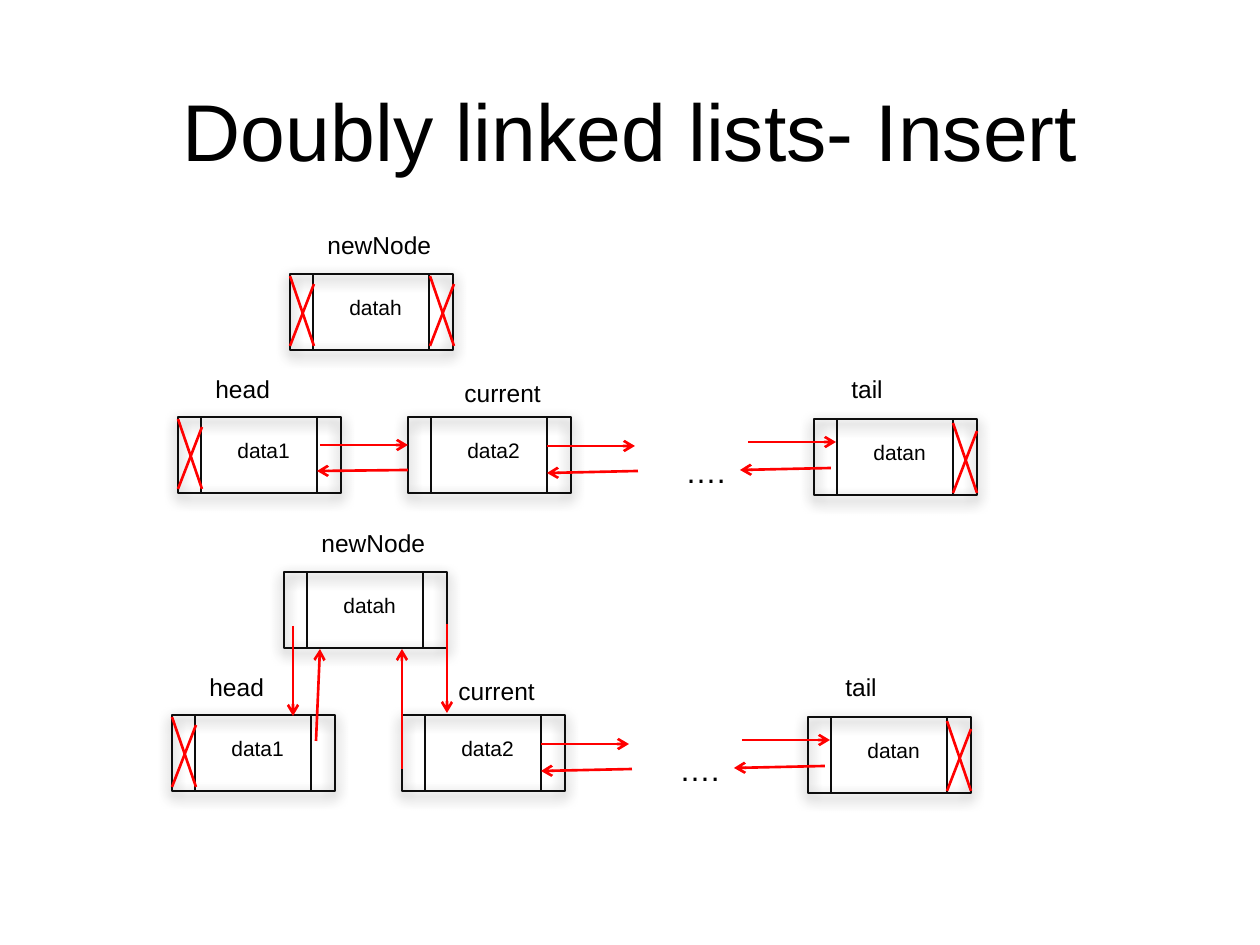
"""Builds a slide showing insertion into a doubly linked list."""
from lxml.etree import SubElement
from pptx import Presentation
from pptx.dml.color import RGBColor
from pptx.enum.shapes import MSO_CONNECTOR, MSO_SHAPE
from pptx.enum.text import MSO_ANCHOR, MSO_AUTO_SIZE, PP_ALIGN
from pptx.oxml import parse_xml
from pptx.oxml.ns import nsdecls, qn
from pptx.util import Pt

SCALE = 914400 / 126
INK, BLACK, RED = "0D0D0D", "000000", "FF0000"
NODE_WIDTH, NODE_HEIGHT = 163, 76
PREVIOUS_EDGE, NEXT_EDGE = 23, 139
CROSS_WIDTH = 24


def emu(pixels):
    return round(pixels * SCALE)


def color(value):
    return RGBColor.from_string(value)


def apply(target, values):
    for name, value in values.items():
        setattr(target, name, value)


class Diagram:
    def __init__(self, page, font="Arial"):
        self.page, self.font = page, font
        self.left = self.top = 0

    def move_to(self, left, top):
        self.left, self.top = left, top

    def place(self, x, y):
        return emu(self.left + x), emu(self.top + y)

    def text(self, x, y, width, height, wording, size, **frame_format):
        box = self.page.shapes.add_textbox(
            *self.place(x, y), emu(width), emu(height))
        frame = box.text_frame
        defaults = {"word_wrap": False,
                    "auto_size": MSO_AUTO_SIZE.SHAPE_TO_FIT_TEXT}
        apply(frame, defaults | frame_format)
        para = frame.paragraphs[0]
        span = para.add_run()
        span.text = wording
        apply(span.font, {"name": self.font, "size": Pt(size)})
        span.font.color.rgb = color(BLACK)
        return para

    def title(self, x, y, width, height, wording):
        para = self.text(x, y, width, height, wording, 46, word_wrap=True,
                         auto_size=MSO_AUTO_SIZE.NONE,
                         vertical_anchor=MSO_ANCHOR.MIDDLE)
        para.alignment = PP_ALIGN.CENTER

    def line(self, x1, y1, x2, y2, stroke=RED, arrow=False):
        line = self.page.shapes.add_connector(
            MSO_CONNECTOR.STRAIGHT, *self.place(x1, y1), *self.place(x2, y2))
        line.line.width = Pt(1.5)
        line.line.color.rgb = color(stroke)
        if arrow:
            SubElement(line.line._get_or_add_ln(), qn("a:tailEnd"), type="arrow")
        SubElement(line._element.spPr, qn("a:effectLst"))

    def cross(self, x, y):
        right, bottom = x + CROSS_WIDTH, y + 72
        self.line(right, y + 10, x, bottom)
        self.line(x, y + 2, right, bottom)

    def node(self, x, y, wording, edges=(PREVIOUS_EDGE, NEXT_EDGE)):
        box = self.page.shapes.add_shape(
            MSO_SHAPE.RECTANGLE, *self.place(x, y),
            emu(NODE_WIDTH), emu(NODE_HEIGHT))
        box.fill.background()
        box.line.width = Pt(1)
        box.line.color.rgb = color(INK)
        box.shadow.inherit = False
        box._element.spPr.find(qn("a:effectLst")).append(parse_xml(
            f'<a:outerShdw {nsdecls("a")} blurRad="{Pt(8)}" dist="{Pt(3)}" '
            'dir="5400000" rotWithShape="0"><a:srgbClr val="000000">'
            '<a:alpha val="75000"/></a:srgbClr></a:outerShdw>'))
        for edge in edges:
            self.line(x + edge, y, x + edge, y + NODE_HEIGHT, INK)
        self.text(x + 47, y + 14, 88, 38, wording, 12)

    def stage(self, links):
        """Draws the list and the new node, joined by the given links."""
        for x, y, wording in NODES:
            self.node(x, y, wording)
        self.node(*NEW_NODE, "datah", (PREVIOUS_EDGE, NEXT_EDGE, NODE_WIDTH))
        for x, y, width, wording in LABELS:
            self.text(x, y, width, 43, wording, 14)
        self.text(673, 446, 66, 50, "….", 18)
        self.cross(178, 417)
        self.cross(814 + NEXT_EDGE, 421)
        for link in SHARED_LINKS + links:
            self.line(*link, arrow=True)


NEW_NODE = (290, 274)
NODES = [(178, 417, "data1"), (408, 417, "data2"), (814, 419, "datan")]
LABELS = [(203, 368, 91, "head"), (839, 368, 60, "tail"),
          (452, 372, 111, "current"), (315, 224, 145, "newNode")]
SHARED_LINKS = [(547, 446, 635, 446), (748, 442, 836, 442),
                (638, 471, 547, 473), (831, 468, 740, 470)]
LINKS_BEFORE = [(320, 445, 408, 445), (408, 470, 317, 471)]
LINKS_AFTER = [(322, 443, 326, 351), (408, 471, 408, 351),
               (453, 326, 453, 415), (299, 328, 299, 418)]


def main():
    deck = Presentation()
    apply(deck, {"slide_width": emu(1260), "slide_height": emu(945)})
    diagram = Diagram(deck.slides.add_slide(deck.slide_layouts[6]))
    diagram.title(126, 69, 1008, 120, "Doubly linked lists- Insert")
    diagram.stage(LINKS_BEFORE)
    for edge in (0, NEXT_EDGE + 1):
        diagram.cross(NEW_NODE[0] + edge, NEW_NODE[1])
    diagram.move_to(-6, 298)
    diagram.stage(LINKS_AFTER)
    deck.save("out.pptx")


if __name__ == "__main__":
    main()
